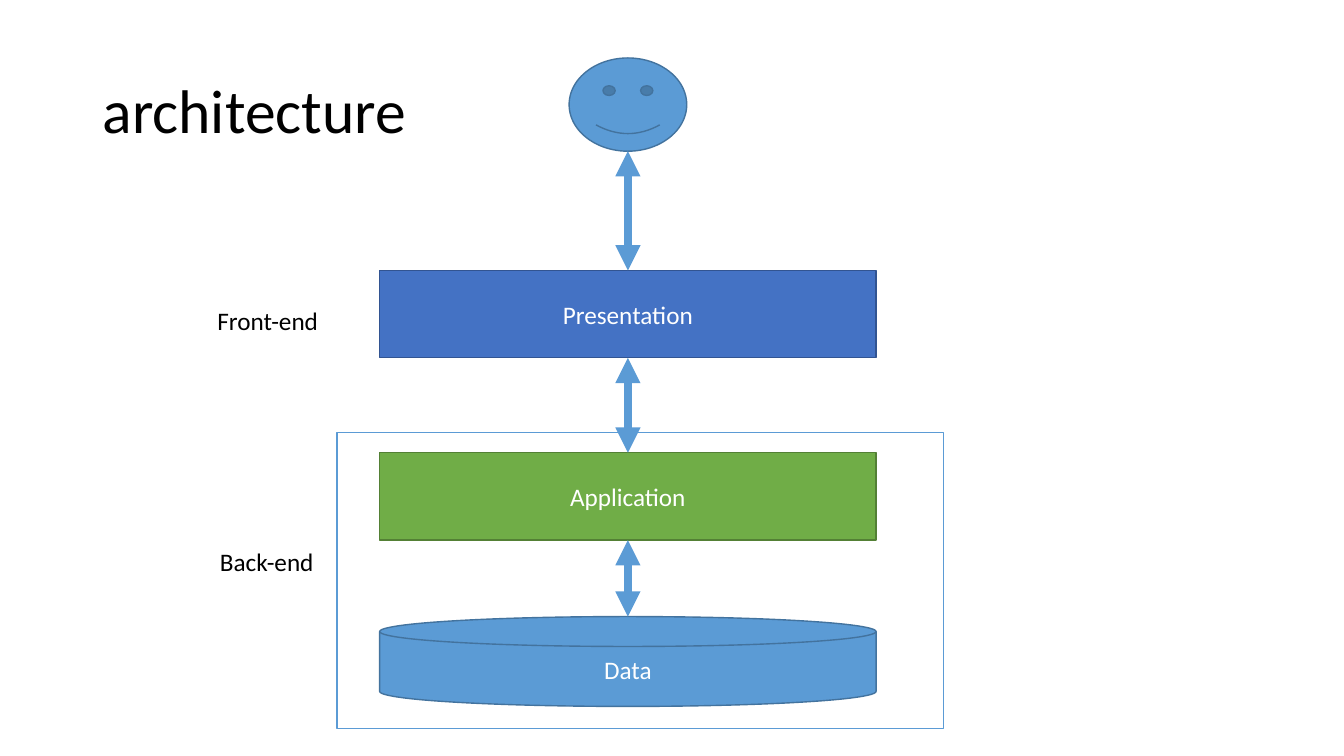
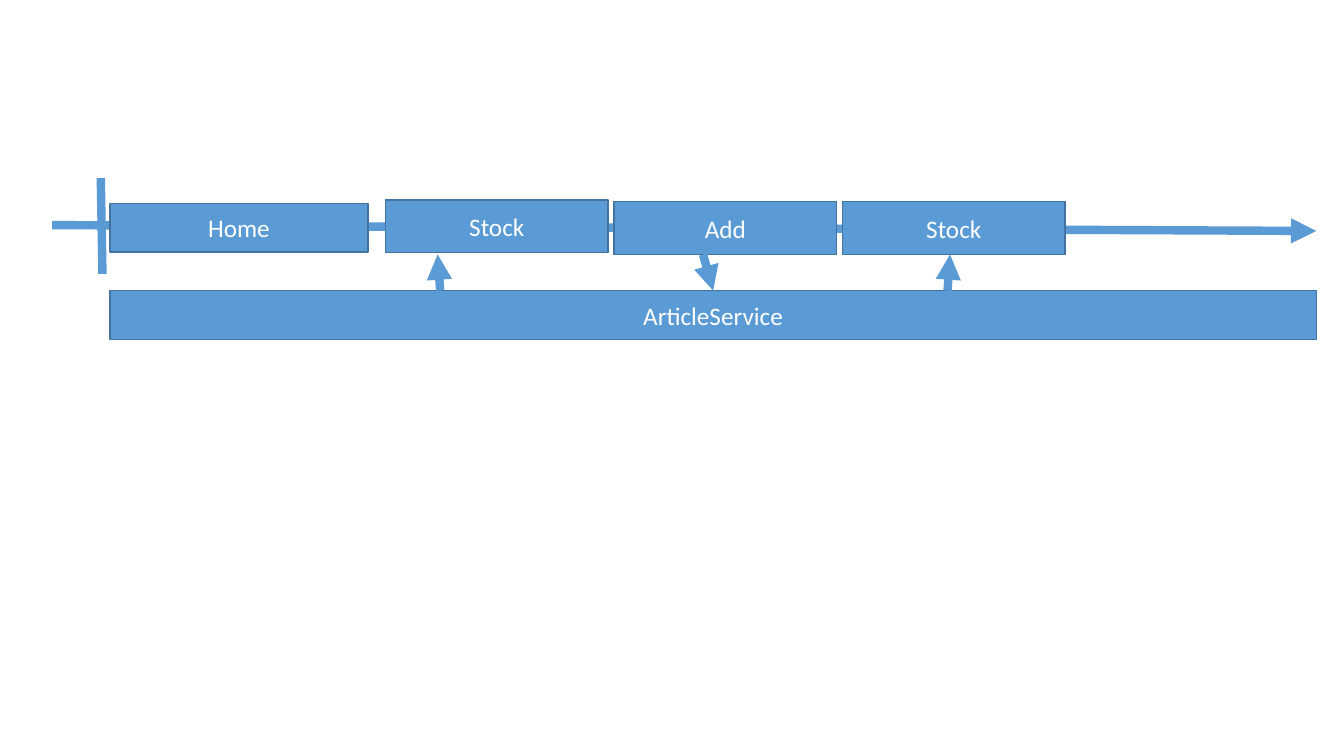
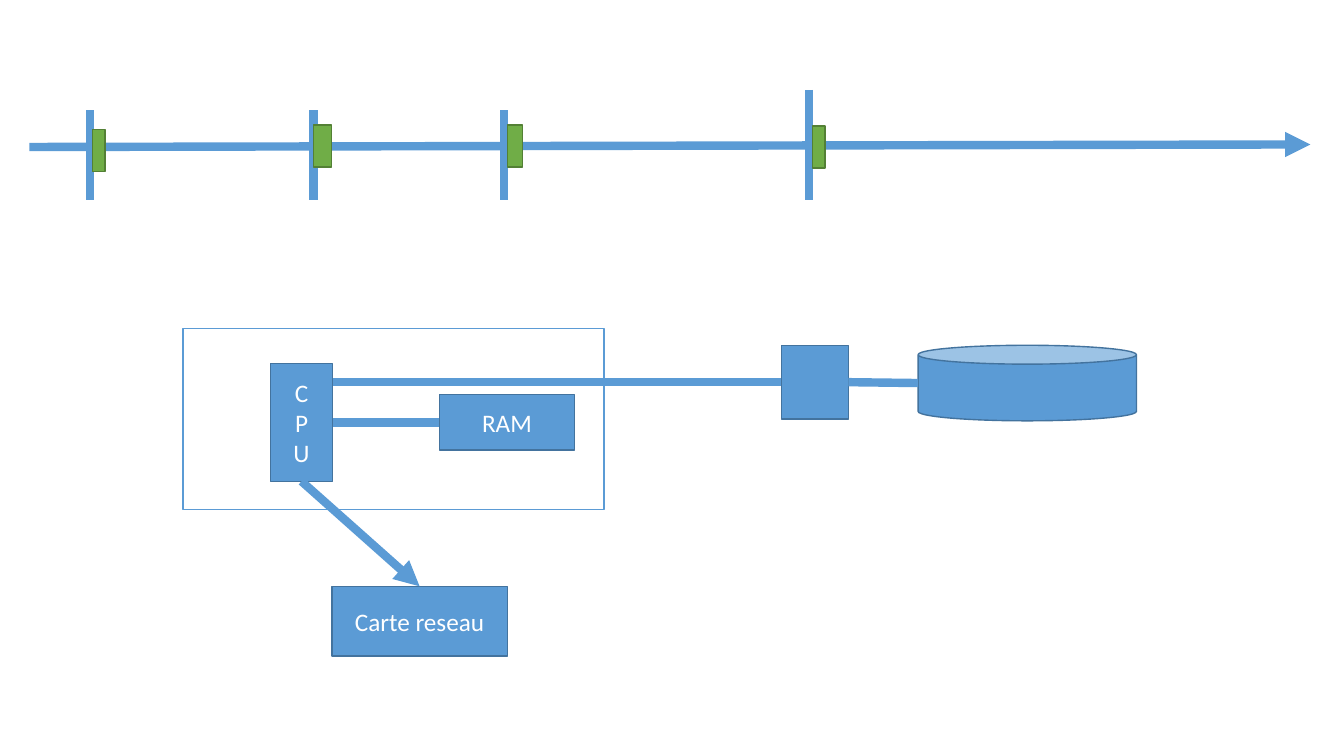
from collections import namedtuple

from lxml.etree import SubElement
from pptx import Presentation
from pptx.dml.color import RGBColor
from pptx.enum.shapes import MSO_CONNECTOR as LINE, MSO_SHAPE as SHAPE
from pptx.enum.text import MSO_ANCHOR as ANCHOR, MSO_AUTO_SIZE as FIT, PP_ALIGN as ALIGN
from pptx.oxml.ns import qn
from pptx.util import Inches, Pt

WIDTH, HEIGHT = 13.33, 7.5
COLUMNS, ROWS = 160, 90
FONT = "Calibri"
COLORS = {
    "black": "000000", "white": "FFFFFF",
    "sky": "5B9BD5", "sky_edge": "43739E",
    "blue": "4472C4", "blue_edge": "325491",
    "green": "70AD47", "green_edge": "538035",
}
TOP, LEFT, BOTTOM, RIGHT = range(4)
Box = namedtuple("Box", "x y w h")


def rgb(name):
    """Look up a palette colour."""
    return RGBColor.from_string(COLORS[name])


def across(columns):
    """Convert grid columns to a length."""
    return Inches(columns * WIDTH / COLUMNS)


def down(rows):
    """Convert grid rows to a length."""
    return Inches(rows * HEIGHT / ROWS)


def place(box):
    """Convert a grid box to left, top, width and height."""
    return across(box.x), down(box.y), across(box.w), down(box.h)


def inside(box, x, y, w, h):
    """Give a box whose corner is offset from the corner of another."""
    return Box(box.x + x, box.y + y, w, h)


def write(frame, text, size=18, color="white", align=ALIGN.CENTER,
          anchor=ANCHOR.MIDDLE, wrap=True, spacing=None):
    """Fill a text frame, one paragraph for each line."""
    frame.text = text
    frame.auto_size = FIT.NONE
    frame.word_wrap = wrap
    frame.vertical_anchor = anchor
    for paragraph in frame.paragraphs:
        paragraph.alignment = align
        paragraph.line_spacing = spacing
        for run in paragraph.runs:
            run.font.name, run.font.size = FONT, Pt(size)
            run.font.color.rgb = rgb(color)


def block(slide, box, text="", kind=SHAPE.RECTANGLE, fill="sky", edge=None):
    """Draw a filled or hollow preset shape with optional text."""
    shape = slide.shapes.add_shape(kind, *place(box))
    shape.shadow.inherit = False
    if fill:
        shape.fill.solid()
        shape.fill.fore_color.rgb = rgb(fill)
    else:
        shape.fill.background()
    shape.line.color.rgb = rgb(edge or f"{fill}_edge")
    shape.line.width = Pt(1)
    if text:
        write(shape.text_frame, text)
    return shape


def link(slide, start=(0, 0), end=(0, 0), begin=None, finish=None, heads=()):
    """Draw a thick line between grid points or joined shape sides."""
    line = slide.shapes.add_connector(
        LINE.STRAIGHT, across(start[0]), down(start[1]), across(end[0]), down(end[1]))
    line.line.color.rgb = rgb("sky")
    line.line.width = Pt(6)
    outline = line.line._get_or_add_ln()
    for head in heads:
        SubElement(outline, qn(f"a:{head}"), type="triangle")
    SubElement(line._element.spPr, qn("a:effectLst"))
    if begin:
        line.begin_connect(*begin)
    if finish:
        line.end_connect(*finish)


def label(slide, box, text):
    """Write a one-line black label."""
    frame = slide.shapes.add_textbox(*place(box)).text_frame
    write(frame, text, color="black", align=ALIGN.LEFT, anchor=ANCHOR.TOP, wrap=False)


def heading(slide, box, text):
    """Place and format the slide title."""
    title = slide.shapes.title
    title.left, title.top, title.width, title.height = place(box)
    write(title.text_frame, text, size=44, color="black", align=ALIGN.LEFT, spacing=0.9)


def tiers(slide, box):
    """Stack the user and the three tiers, joined by double arrows."""
    both = ("headEnd", "tailEnd")
    middle = box.x + box.w / 2
    user = inside(box, (box.w - 14) / 2, 0, 14, 11.1)
    data = inside(box, 0, 66.5, box.w, 10.7)
    presentation = block(slide, inside(box, 0, 25.3, box.w, 10.4), "Presentation", fill="blue")
    application = block(slide, inside(box, 0, 47, box.w, 10.4), "Application", fill="green")
    block(slide, data, "Data", kind=SHAPE.FLOWCHART_MAGNETIC_DISK)
    block(slide, user, kind=SHAPE.SMILEY_FACE)
    link(slide, begin=(presentation, BOTTOM), finish=(application, TOP), heads=both)
    link(slide, begin=(application, BOTTOM), end=(middle, data.y), heads=both)
    link(slide, start=(middle, user.y + user.h), finish=(presentation, TOP), heads=both)
    block(slide, inside(box, -5.1, 44.6, 72.2, 35.2), fill=None, edge="sky")
    label(slide, inside(box, -20.5, 28.8, 14.6, 4.8), "Front-end")
    label(slide, inside(box, -20.2, 57.5, 13.8, 4.8), "Back-end")


def timeline(slide, box, rise, ticks):
    """Draw a time arrow and its ticks, given as x, top, bottom and lean."""
    link(slide, (box.x, box.y), (box.x + box.w, box.y + rise), heads=("tailEnd",))
    for x, top, bottom, lean in ticks:
        link(slide, (box.x + x, box.y + top), (box.x + x + lean, box.y + bottom))


def pages(slide, box):
    """Line up the visited pages above the service they call."""
    block(slide, inside(box, 0, 0.4, 30.7, 5.8), "Home")
    for step, (text, drop) in enumerate((("Stock", 0), ("Add", 0.2), ("Stock", 0.2))):
        block(slide, inside(box, 32.8 + 27.2 * step, drop, 26.5, 6.3), text)
    service = block(slide, inside(box, 0, 10.8, box.w, 5.8), "ArticleService")
    upper, lower = box.y + 6.5, box.y + 10.8
    for foot, tip in ((39.3, 39), (99.7, 100)):
        link(slide, (box.x + foot, lower), (box.x + tip, upper), heads=("tailEnd",))
    link(slide, (box.x + 70.6, upper), finish=(service, TOP), heads=("tailEnd",))


def bursts(slide, box, bars):
    """Mark short green work periods on a timeline."""
    for x, y, width in bars:
        block(slide, inside(box, x, y, width, 5), fill="green")


def computer(slide, box):
    """Draw the computer with its memory, disk and network card."""
    block(slide, box, fill="white", edge="sky")
    cpu_box = inside(box, 10.4, 4.2, 7.4, 14)
    cpu = block(slide, cpu_box, "C\nP\nU")
    ram = block(slide, inside(box, 30.5, 7.9, 16.1, 6.6), "RAM")
    controller = block(slide, inside(box, 71.2, 2, 8, 8.8))
    disk = inside(box, 87.5, 2, 26, 9)
    block(slide, disk, kind=SHAPE.CAN)
    card = block(slide, inside(box, 17.7, 30.7, 20.9, 8.3), "Carte reseau")
    link(slide, begin=(cpu, RIGHT), finish=(ram, LEFT))
    link(slide, (cpu_box.x + cpu_box.w, box.y + 6.4), finish=(controller, LEFT))
    link(slide, begin=(controller, RIGHT), end=(disk.x, disk.y + disk.h / 2))
    link(slide, begin=(cpu, BOTTOM), finish=(card, TOP), heads=("tailEnd",))


def main():
    """Build and save the three slides."""
    deck = Presentation()
    deck.slide_width, deck.slide_height = Inches(WIDTH), Inches(HEIGHT)
    title_only, blank = deck.slide_layouts[5], deck.slide_layouts[6]

    architecture = deck.slides.add_slide(title_only)
    heading(architecture, Box(11, 4.8, 138, 17.4), "architecture")
    tiers(architecture, Box(45.2, 6.9, 59.1, 77.2))

    calls = deck.slides.add_slide(blank)
    timeline(calls, Box(6.2, 26.8, 150.5, 0), 0.7, [(5.8, -5.6, 5.8, 0.2)])
    pages(calls, Box(13.1, 23.8, 143.6, 16.6))

    hardware = deck.slides.add_slide(blank)
    axis = Box(3.5, 17.5, 152.5, 0)
    timeline(hardware, axis, -0.3, [
        (7.2, -4.4, 6.3, 0), (33.8, -4.4, 6.3, 0),
        (56.5, -4.4, 6.3, 0), (92.8, -6.8, 6.3, 0)])
    bursts(hardware, axis, [
        (7.5, -2.1, 1.5), (33.8, -2.6, 2.2), (56.9, -2.6, 1.8), (93.2, -2.5, 1.5)])
    computer(hardware, Box(21.8, 39.1, 50.1, 21.6))

    deck.save("out.pptx")


if __name__ == "__main__":
    main()
